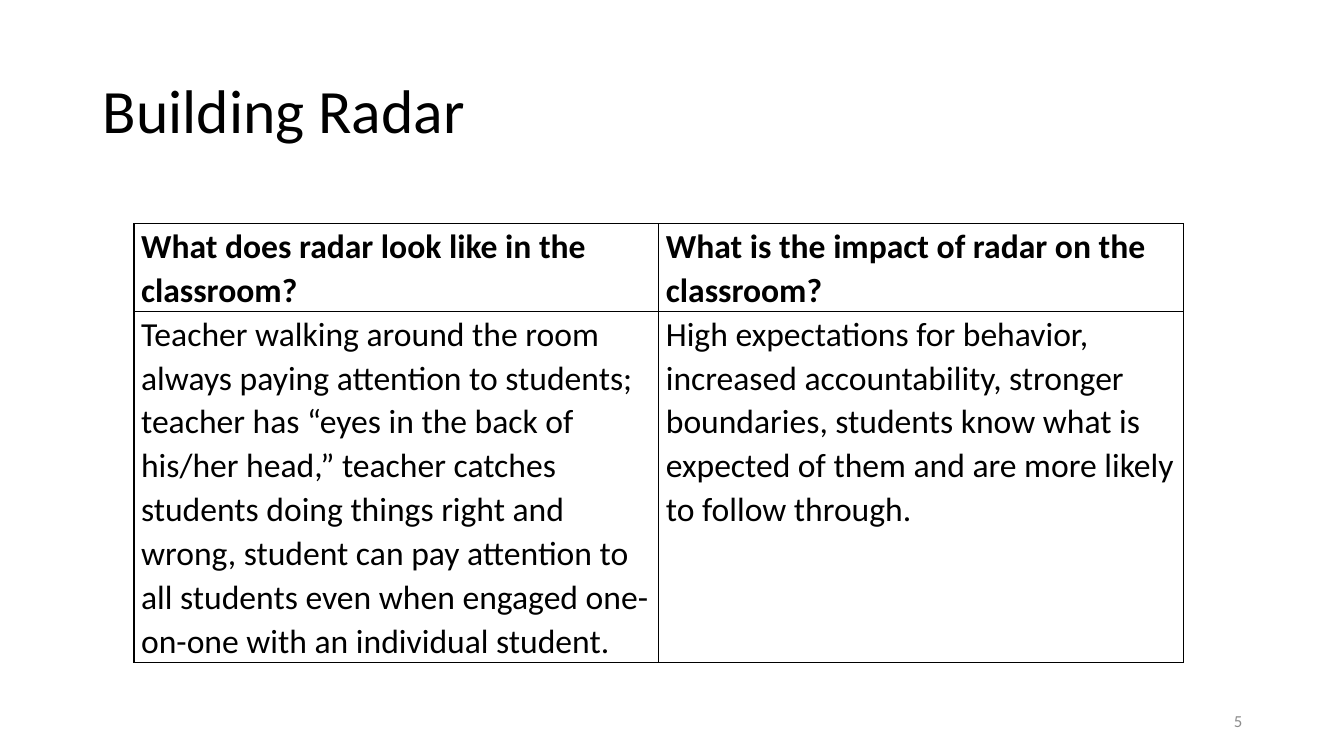
from lxml import etree
from pptx import Presentation
from pptx.dml.color import RGBColor
from pptx.enum.text import MSO_ANCHOR as Anchor, PP_ALIGN as Align
from pptx.oxml import parse_xml
from pptx.oxml.ns import nsdecls
from pptx.util import Inches, Pt

FONT = "Calibri"
ROWS = [
    ["What does radar look like in the classroom?",
     "What is the impact of radar on the classroom?"],
    ["Teacher walking around the room always paying attention to students; "
     "teacher has “eyes in the back of his/her head,” teacher catches students "
     "doing things right and wrong, student can pay attention to all students "
     "even when engaged one-on-one with an individual student.",
     "High expectations for behavior, increased accountability, stronger "
     "boundaries, students know what is expected of them and are more likely "
     "to follow through."],
]


def rgb(color):
    """Turn a hex string into a colour."""
    return RGBColor.from_string(color)


def write(tf, text, size, color="000000", bold=False, align=Align.LEFT, spacing=1.0):
    """Fill a text frame with one formatted paragraph."""
    tf.text = text
    tf.word_wrap = True
    p = tf.paragraphs[0]
    p.alignment, p.line_spacing = align, spacing
    font = p.runs[0].font
    font.name, font.size, font.bold = FONT, Pt(size), bold
    font.color.rgb = rgb(color)


def add_borders(cell, color="000000", width=1):
    """Draw a solid line on all four sides of a cell."""
    tc_pr = cell._tc.get_or_add_tcPr()
    for index, side in enumerate(("lnL", "lnR", "lnT", "lnB")):
        tc_pr.insert(index, parse_xml(
            f'<a:{side} {nsdecls("a")} w="{Pt(width)}"><a:solidFill>'
            f'<a:srgbClr val="{color}"/></a:solidFill></a:{side}>'))


def add_title(s, box, text):
    """Place the title placeholder in its box."""
    title = s.shapes.title
    title.left, title.top, title.width, title.height = map(Inches, box)
    title.text_frame.vertical_anchor = Anchor.MIDDLE
    write(title.text_frame, text, 44, spacing=0.9)


def add_question_table(s, box, rows, header_share):
    """Place the table of questions above their answers."""
    left, top, width, height = map(Inches, box)
    table = s.shapes.add_table(len(rows), len(rows[0]), left, top, width, height).table
    for column in table.columns:
        column.width = width // len(rows[0])
    for row, share in zip(table.rows, (header_share, 1 - header_share)):
        row.height = int(height * share)
    for r, texts in enumerate(rows):
        for c, text in enumerate(texts):
            cell = table.cell(r, c)
            cell.fill.background()
            cell.margin_left = cell.margin_right = Inches(0.07)
            cell.margin_top = cell.margin_bottom = 0
            write(cell.text_frame, text, 24, bold=r == 0, spacing=1.07)
            add_borders(cell)


def add_page_number(s, box, number):
    """Place the page number at the right of its box."""
    tf = s.shapes.add_textbox(*map(Inches, box)).text_frame
    tf.vertical_anchor = Anchor.MIDDLE
    write(tf, number, 12, "8C8C8C", align=Align.RIGHT)


def main():
    """Build the slide and save it."""
    prs = Presentation()
    prs.slide_width, prs.slide_height = Inches(13.33), Inches(7.5)
    s = prs.slides.add_slide(prs.slide_layouts[5])
    add_title(s, (0.92, 0.4, 11.5, 1.45), "Building Radar")
    add_question_table(s, (1.33, 2.22, 10.41, 4.35), ROWS, 0.2)
    add_page_number(s, (9.42, 6.95, 3, 0.4), "5")
    prs.save("out.pptx")


if __name__ == "__main__":
    main()
